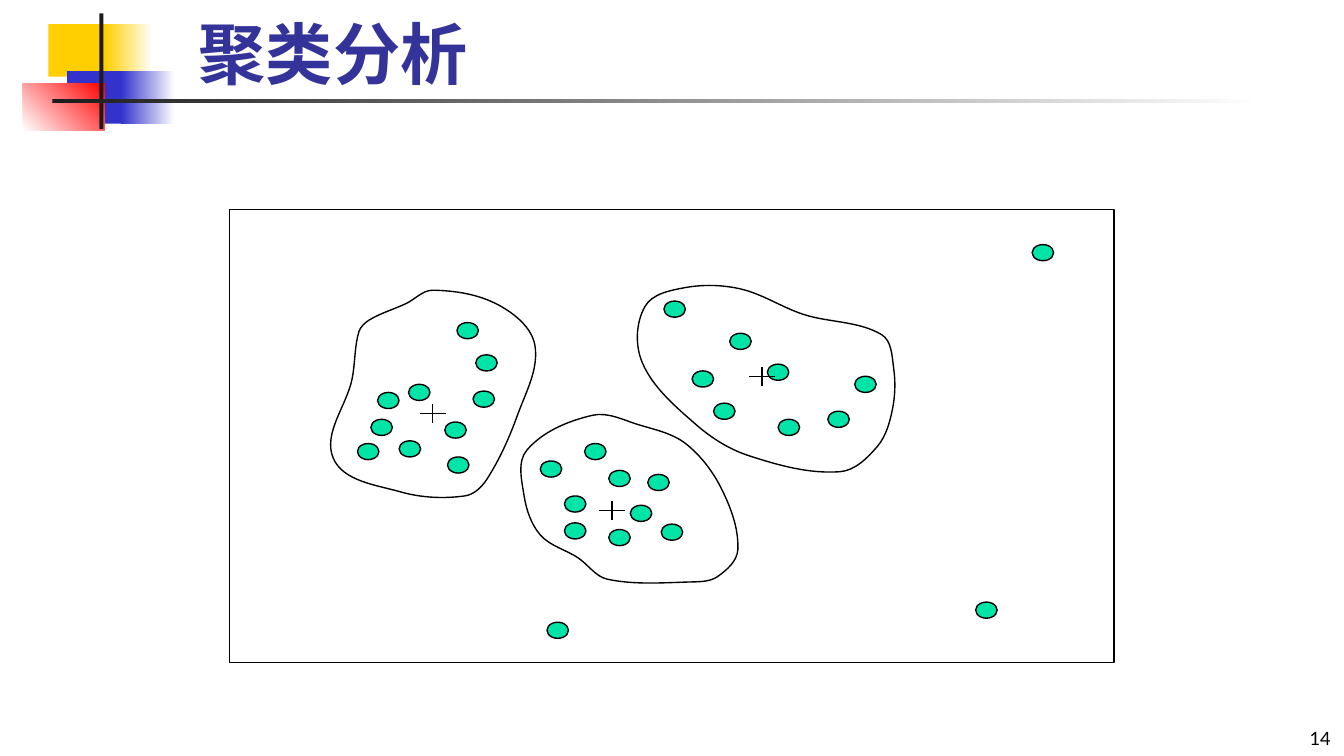
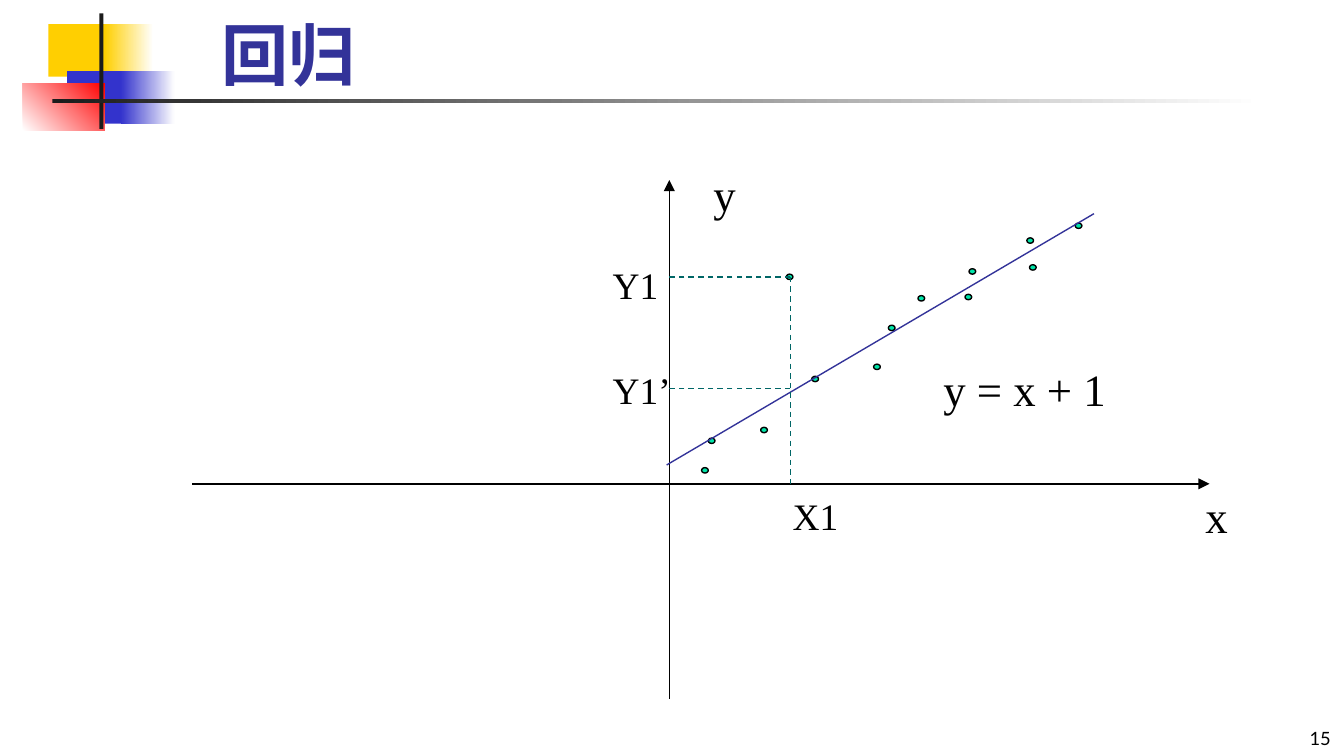
import dataclasses
import math

import lxml.etree
import pptx
import pptx.dml.color
import pptx.enum.dml
import pptx.enum.shapes
import pptx.enum.text
import pptx.oxml.ns
import pptx.util

SHAPE = pptx.enum.shapes.MSO_SHAPE
ANCHOR = pptx.enum.text.MSO_ANCHOR
ALIGN = pptx.enum.text.PP_ALIGN
qn = pptx.oxml.ns.qn

# The grid has 1000 columns; its cells are square.
COLUMNS, ROWS = 1000, 562.5
CELL = pptx.util.Inches(10) / COLUMNS

BLACK, WHITE, INK = "000000", "FFFFFF", "1C1C1C"
YELLOW, BLUE, RED = "FFCF01", "3333CC", "FF0000"
NAVY, TEAL, GREEN = "333399", "006666", "00E4A8"
SERIF, SANS = "Times New Roman", "Lato"
TITLE_SIZE, AXIS_SIZE, TICK_SIZE, NUMBER_SIZE = 36, 24, 20, 9.8
LINE_WIDTH = 0.75


def rgb(code):
    return pptx.dml.color.RGBColor.from_string(code)


def cells(*lengths):
    return [pptx.util.Emu(round(length * CELL)) for length in lengths]


def smooth_loop(anchors):
    """Returns two handles and an end point for each span of a closed curve.

    At each anchor the curve runs parallel to the chord between its neighbours;
    a handle is a third as long as its span.
    """
    count = len(anchors)
    directions = []
    for index in range(count):
        (x1, y1), (x2, y2) = anchors[index - 1], anchors[(index + 1) % count]
        chord = math.dist((x1, y1), (x2, y2))
        directions.append(((x2 - x1) / chord, (y2 - y1) / chord))

    spans = []
    for index, (x1, y1) in enumerate(anchors):
        following = (index + 1) % count
        x2, y2 = anchors[following]
        reach = math.dist((x1, y1), (x2, y2)) / 3
        (dx1, dy1), (dx2, dy2) = directions[index], directions[following]
        spans.append([(x1 + reach * dx1, y1 + reach * dy1),
                      (x2 - reach * dx2, y2 - reach * dy2),
                      (x2, y2)])
    return spans


class Pages:
    """Holds the deck, the current page and the canvas drawn on."""

    def __init__(self):
        self.deck = pptx.Presentation()
        self.deck.slide_width, self.deck.slide_height = cells(COLUMNS, ROWS)

    def start(self, title, title_area, number):
        page = self.deck.slides.add_slide(self.deck.slide_layouts[6])
        self.canvas = page.shapes
        self.ornament()
        self.text(str(number), 792, 531, 208, 31, NUMBER_SIZE, font=SANS,
                  align=ALIGN.RIGHT, anchor=ANCHOR.BOTTOM, spacing=0.8)
        self.text(title, *title_area, TITLE_SIZE, color=NAVY, bold=True, anchor=ANCHOR.BOTTOM)

    def ornament(self):
        """Draws the colour blocks and the two rules beside the title."""
        block_height = 39
        for color, top, left, width, fade_left, fade_width in (
                (YELLOW, 18, 36, 48, 78, 36),
                (BLUE, 53, 50, 46, 90, 40)):
            self.shape(left, top, width, block_height, color)
            self.fade(fade_left, top, fade_width, block_height, color, WHITE)
        self.fade(17, 62, 61, 35, WHITE, RED, angle=45)
        self.shape(74, 10, 3, 86, INK)
        self.fade(39, 74, 900, 3, INK, WHITE)

    def group(self):
        """Puts what follows on this page into one group."""
        self.canvas = self.canvas.add_group_shape().shapes

    def finish(self, shape, fill, line):
        shape.shadow.inherit = False
        if fill:
            shape.fill.solid()
            shape.fill.fore_color.rgb = rgb(fill)
        else:
            shape.fill.background()
        if line:
            shape.line.color.rgb = rgb(line)
            shape.line.width = pptx.util.Pt(LINE_WIDTH)
        else:
            shape.line.fill.background()
        return shape

    def shape(self, left, top, width, height, fill=None, line=None, kind=SHAPE.RECTANGLE):
        shape = self.canvas.add_shape(kind, *cells(left, top, width, height))
        return self.finish(shape, fill, line)

    def fade(self, left, top, width, height, first, last, angle=0):
        """Draws a rectangle with a two-colour gradient."""
        fill = self.shape(left, top, width, height).fill
        fill.gradient()
        fill.gradient_angle = angle
        for stop, color, position in zip(fill.gradient_stops, (first, last), (0, 1)):
            stop.color.rgb = rgb(color)
            stop.position = position

    def dots(self, corners, width, height, kind):
        for left, top in corners:
            self.shape(left, top, width, height, GREEN, BLACK, kind)

    def line(self, start, end, color=BLACK, dashed=False, arrow=False):
        line = self.canvas.add_connector(
            pptx.enum.shapes.MSO_CONNECTOR.STRAIGHT, *cells(*start, *end))
        line.line.color.rgb = rgb(color)
        line.line.width = pptx.util.Pt(LINE_WIDTH)
        if dashed:
            line.line.dash_style = pptx.enum.dml.MSO_LINE.DASH
        properties = line.element.spPr
        if arrow:
            lxml.etree.SubElement(properties.find(qn("a:ln")), qn("a:tailEnd"), type="triangle")
        lxml.etree.SubElement(properties, qn("a:effectLst"))

    def plus(self, x, y, half_width=9.5, half_height=7):
        self.line((x - half_width, y), (x + half_width, y))
        self.line((x, y - half_height), (x, y + half_height))

    def loop(self, anchors):
        """Draws a smooth closed curve through the anchors."""
        points = [cells(*point) for span in smooth_loop(anchors) for point in span]
        builder = self.canvas.build_freeform(*cells(*anchors[0]))
        builder.add_line_segments(points, close=True)
        shape = self.finish(builder.convert_to_shape(), None, BLACK)
        steps = list(shape.element.iter(qn("a:lnTo")))
        for first in range(0, len(steps), 3):
            curve = lxml.etree.Element(qn("a:cubicBezTo"))
            steps[first].addprevious(curve)
            for step in steps[first:first + 3]:
                curve.append(step[0])
                step.getparent().remove(step)

    def text(self, words, left, top, width, height, size, font=SERIF, color=BLACK, bold=False,
             align=ALIGN.LEFT, anchor=ANCHOR.TOP, spacing=None, wrap=True):
        box = self.canvas.add_textbox(*cells(left, top, width, height))
        frame = box.text_frame
        frame.word_wrap = wrap
        frame.vertical_anchor = anchor
        para = frame.paragraphs[0]
        para.text = words
        para.alignment = align
        para.line_spacing = spacing
        para.font.name = font
        para.font.size = pptx.util.Pt(size)
        para.font.bold = bold
        para.font.color.rgb = rgb(color)

    def label(self, words, left, top, width, size):
        self.text(words, left, top, width, size * 2 + 3, size, wrap=False)


@dataclasses.dataclass
class Cluster:
    """A group of dots, its centre mark and the anchors of its outline."""
    centre: tuple
    dots: list
    anchors: list


LEFT = Cluster(
    centre=(322, 307.5),
    dots=[(340, 240), (354, 264), (352, 291), (304, 286), (281, 292),
          (276, 312), (266, 330), (297, 328), (331, 314), (333, 340)],
    anchors=[(322, 216), (371, 227), (398, 257), (385, 309), (362, 357), (346, 369),
             (298, 366), (248, 341), (262, 282), (267, 247), (275, 238), (302, 226)])
MIDDLE = Cluster(
    centre=(455.5, 380),
    dots=[(435, 330), (402, 343), (453, 350), (482, 353), (420, 369),
          (469, 376), (420, 389), (453, 394), (492, 390)],
    anchors=[(441, 309), (475, 316), (510, 330), (537, 364), (549, 409), (534, 429),
             (515, 433), (452, 431), (430, 415), (402, 398), (390, 369), (392, 335)])
RIGHT = Cluster(
    centre=(567, 280),
    dots=[(494, 224), (543, 248), (571, 271), (515, 276), (531, 300),
          (579, 312), (616, 306), (636, 280)],
    anchors=[(510, 214), (551, 215), (598, 234), (656, 249), (665, 274), (664, 305),
             (653, 332), (625, 351), (557, 339), (518, 316), (478, 270), (480, 228)])
OUTLIERS = [(768, 182), (726, 448), (407, 463)]


def clustering(pages):
    pages.start("聚类分析", (138, 24, 475, 50), 14)
    pages.group()
    pages.shape(171, 156, 658, 337, line=BLACK)
    dot_style = (16, 12, SHAPE.FLOWCHART_CONNECTOR)
    pages.dots(OUTLIERS, *dot_style)
    for cluster in (LEFT, MIDDLE, RIGHT):
        pages.loop(cluster.anchors)
        pages.dots(cluster.dots, *dot_style)
        pages.plus(*cluster.centre)


ORIGIN_X, ORIGIN_Y = 498, 360
SAMPLE_X, SAMPLE_Y, FITTED_Y = 588, 206, 289
SAMPLES = [(522, 348), (527, 326), (566, 318), (585, 204), (604, 280), (650, 271), (661, 242),
           (683, 220), (718, 219), (721, 200), (764, 177), (766, 197), (800, 166)]


def regression(pages):
    pages.start("回归", (155, 12, 525, 63), 15)
    pages.line((143, ORIGIN_Y), (900, ORIGIN_Y), arrow=True)
    pages.line((ORIGIN_X, 520), (ORIGIN_X, 134), arrow=True)
    pages.label("x", 887, 359, 36, AXIS_SIZE)
    pages.label("y", 521, 119, 36, AXIS_SIZE)

    pages.dots(SAMPLES, 5, 4, SHAPE.OVAL)
    pages.line((496, 346), (814, 159), NAVY)
    pages.label("y = x + 1", 692, 264, 141, AXIS_SIZE)

    pages.line((SAMPLE_X, SAMPLE_Y), (SAMPLE_X, ORIGIN_Y), TEAL, dashed=True)
    pages.label("X1", SAMPLE_X - 8, ORIGIN_Y + 2, 54, TICK_SIZE)
    for name, level, label_top, width in (("Y1", SAMPLE_Y, 190, 54),
                                          ("Y1’", FITTED_Y, 268, 63)):
        pages.line((SAMPLE_X, level), (ORIGIN_X, level), TEAL, dashed=True)
        pages.label(name, 446, label_top, width, TICK_SIZE)


def main():
    pages = Pages()
    clustering(pages)
    regression(pages)
    pages.deck.save("out.pptx")


if __name__ == "__main__":
    main()
